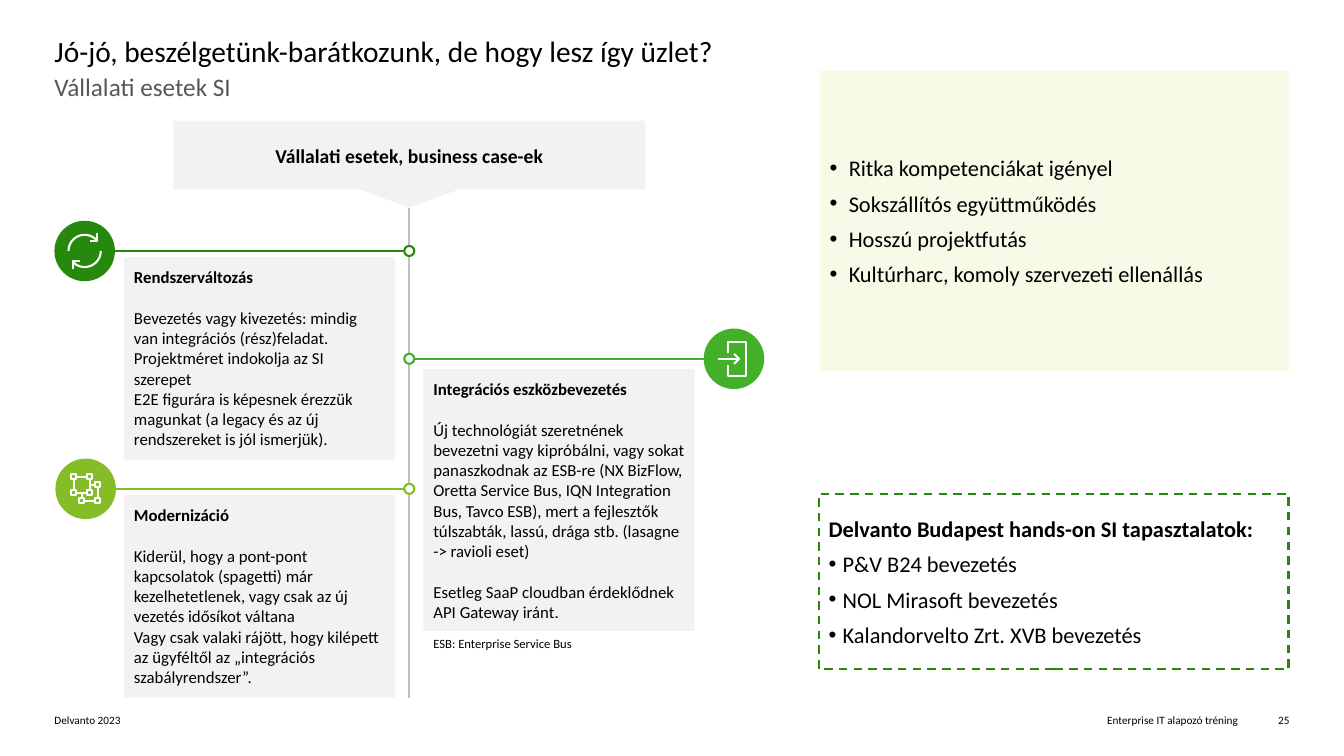
from dataclasses import dataclass
from math import cos, radians, sin

from lxml import etree
from pptx import Presentation, util as u
from pptx.dml.color import RGBColor
from pptx.enum import dml, shapes, text
from pptx.oxml import ns


@dataclass(frozen=True)
class Theme:
    font: str = "Calibri"
    black: str = "000000"
    white: str = "FFFFFF"
    subtitle_grey: str = "575757"
    axis_grey: str = "BFBFBF"
    card_grey: str = "F2F2F2"
    dark_green: str = "26890D"
    mid_green: str = "43B02A"
    light_green: str = "86BC25"
    pale_yellow: str = "E3E48D"
    title: float = 21
    subtitle: float = 18
    panel: float = 16
    header: float = 14
    card: float = 12
    note: float = 9
    footer: float = 8
    stroke: float = 1.5


T = Theme()
AXIS_X = 4.06
CARD_LINE = 14.65  # height of one line of card text, in points
LEFT, CENTER, RIGHT = text.PP_ALIGN.LEFT, text.PP_ALIGN.CENTER, text.PP_ALIGN.RIGHT
TOP, MIDDLE = text.MSO_ANCHOR.TOP, text.MSO_ANCHOR.MIDDLE


def rgb(color):
    return RGBColor.from_string(color)


# --- Text ---
def setup_frame(shape, inset, anchor=TOP):
    frame = shape.text_frame
    frame.word_wrap = True
    frame.vertical_anchor = anchor
    frame.margin_left = frame.margin_right = u.Inches(inset[0])
    frame.margin_top = frame.margin_bottom = u.Inches(inset[1])
    return frame


def write(frame, content, size, color=T.black, bold=False, align=LEFT,
          before=0, after=0, bullet_indent=0):
    first = frame.paragraphs[0]
    paragraph = frame.add_paragraph() if first.runs else first
    paragraph.alignment = align
    paragraph.space_before, paragraph.space_after = u.Pt(before), u.Pt(after)
    if bullet_indent:
        props = paragraph._p.get_or_add_pPr()
        props.set("marL", str(u.Inches(bullet_indent)))
        props.set("indent", str(-u.Inches(bullet_indent)))
        etree.SubElement(props, ns.qn("a:buFont")).set("typeface", "Arial")
        etree.SubElement(props, ns.qn("a:buChar")).set("char", "•")
    run = paragraph.add_run()
    run.text = content
    run.font.name, run.font.size, run.font.bold = T.font, u.Pt(size), bold
    run.font.color.rgb = rgb(color)
    return paragraph


def add_label(slide, box, content, size, inset=(0, 0), **style):
    label = slide.shapes.add_textbox(*map(u.Inches, box))
    write(setup_frame(label, inset), content, size, **style)


# --- Shapes and lines ---
def add_block(slide, kind, box, fill=None, line=None):
    block = slide.shapes.add_shape(kind, *map(u.Inches, box))
    paint(block, fill, line)
    return block


def paint(shape, fill=None, line=None):
    shape.shadow.inherit = False
    if fill:
        shape.fill.solid()
        shape.fill.fore_color.rgb = rgb(fill)
    else:
        shape.fill.background()
    if line:
        shape.line.color.rgb = rgb(line)
        shape.line.width = u.Pt(T.stroke)
    else:
        shape.line.fill.background()


def add_rule(slide, start, end, color):
    rule = slide.shapes.add_connector(
        shapes.MSO_CONNECTOR.STRAIGHT, *map(u.Inches, (*start, *end)))
    rule.line.color.rgb = rgb(color)
    rule.line.width = u.Pt(T.stroke)
    etree.SubElement(rule._element.spPr, ns.qn("a:effectLst"))


def add_stroke(slide, points):
    start, *rest = [(u.Inches(x), u.Inches(y)) for x, y in points]
    builder = slide.shapes.build_freeform(*start)
    builder.add_line_segments(rest, close=False)
    paint(builder.convert_to_shape(), line=T.white)


# --- Icons, drawn in white around a centre ---
def draw_cycle(slide, x, y, color):
    arc = [(0.16 * cos(radians(a)), 0.16 * sin(radians(a))) for a in range(180, 316, 9)]
    head = [(0.12, -0.18), (0.12, -0.1), (0.05, -0.1)]
    for turn in (1, -1):
        for part in (arc, head):
            add_stroke(slide, [(x + turn * dx, y + turn * dy) for dx, dy in part])


def draw_door(slide, x, y, color):
    door = [(-0.06, -0.06), (-0.06, -0.17), (0.12, -0.17),
            (0.12, 0.17), (-0.06, 0.17), (-0.06, 0.06)]
    shaft = [(-0.16, 0), (0.05, 0)]
    head = [(0, -0.05), (0.05, 0), (0, 0.05)]
    for part in (door, shaft, head):
        add_stroke(slide, [(x + dx, y + dy) for dx, dy in part])


def draw_modules(slide, x, y, color):
    near, mid, far, side = -0.12, 0.04, 0.12, 0.05
    front = [(near, near), (mid, near), (mid, mid), (near, mid)]
    back = [(mid, -0.04), (far, -0.04), (far, far), (-0.04, far), (-0.04, mid)]
    for frame in (front + front[:1], back):
        add_stroke(slide, [(x + dx, y + dy) for dx, dy in frame])
    for dx, dy in front + back[1:4]:
        add_block(slide, shapes.MSO_SHAPE.RECTANGLE,
                  (x + dx - side / 2, y + dy - side / 2, side, side), color, T.white)


# --- Parts of the slide ---
def add_case(slide, icon_x, y, color, draw_icon, card_box, heading, paragraphs):
    radius, dot = 0.3, 0.05
    side = 1 if icon_x > AXIS_X else -1
    add_rule(slide, (icon_x - side * radius, y), (AXIS_X + side * dot, y), color)
    add_block(slide, shapes.MSO_SHAPE.OVAL,
              (AXIS_X - dot, y - dot, 2 * dot, 2 * dot), T.white, color)
    add_block(slide, shapes.MSO_SHAPE.OVAL,
              (icon_x - radius, y - radius, 2 * radius, 2 * radius), color)
    draw_icon(slide, icon_x, y, color)

    card = add_block(slide, shapes.MSO_SHAPE.RECTANGLE, card_box, T.card_grey)
    frame = setup_frame(card, (0.1, 0.1))
    write(frame, heading, T.card, bold=True)
    for content, spaced in paragraphs:
        write(frame, content, T.card, before=CARD_LINE if spaced else 0)


def add_header(slide):
    width, height = 4.68, 0.86
    pointer = add_block(slide, shapes.MSO_SHAPE.PENTAGON,
                        (AXIS_X - height / 2, 1.63 - width / 2, height, width), T.card_grey)
    pointer.adjustments[0] = 1
    pointer.rotation = 90
    header = add_block(slide, shapes.MSO_SHAPE.RECTANGLE,
                       (AXIS_X - width / 2, 1.2, width, 0.68), T.card_grey)
    write(setup_frame(header, (0.07, 0.07), MIDDLE), "Vállalati esetek, business case-ek",
          T.header, bold=True, align=CENTER).line_spacing = 1.06


def add_panel(slide, box, bullets, indent, heading=None, fill=None, line=None):
    panel = add_block(slide, shapes.MSO_SHAPE.RECTANGLE, box, fill, line)
    frame = setup_frame(panel, (0.1, 0.05), MIDDLE)
    if heading:
        write(frame, heading, T.panel, bold=True, after=6)
    for bullet in bullets:
        write(frame, bullet, T.panel, after=6, bullet_indent=indent)
    return panel


def main():
    prs = Presentation()
    prs.slide_width, prs.slide_height = u.Inches(13.33), u.Inches(7.5)
    slide = prs.slides.add_slide(prs.slide_layouts[6])

    # Title and footer
    add_label(slide, (0.54, 0.33, 12.25, 0.38),
              "Jó-jó, beszélgetünk-barátkozunk, de hogy lesz így üzlet?", T.title)
    add_label(slide, (0.54, 0.71, 12.25, 0.37), "Vállalati esetek SI",
              T.subtitle, color=T.subtitle_grey)
    add_label(slide, (0.54, 7.08, 5.35, 0.13), "Delvanto 2023", T.footer)
    add_label(slide, (6.93, 7.08, 5.35, 0.13), "Enterprise IT alapozó tréning",
              T.footer, align=RIGHT)
    add_label(slide, (12.45, 7.08, 0.34, 0.13), "25", T.footer, align=RIGHT)

    # Timeline with its cases
    add_rule(slide, (AXIS_X, 6.92), (AXIS_X, 2.06), T.axis_grey)
    add_case(slide, 0.84, 2.49, T.dark_green, draw_cycle, (1.23, 2.55, 2.69, 2.01),
             "Rendszerváltozás", [
                 ("Bevezetés vagy kivezetés: mindig van integrációs (rész)feladat. "
                  "Projektméret indokolja az SI szerepet", True),
                 ("E2E figurára is képesnek érezzük magunkat (a legacy és az új "
                  "rendszereket is jól ismerjük).", False)])
    add_case(slide, 7.28, 3.56, T.mid_green, draw_door, (4.2, 3.66, 2.69, 2.6),
             "Integrációs eszközbevezetés", [
                 ("Új technológiát szeretnének bevezetni vagy kipróbálni, vagy sokat "
                  "panaszkodnak az ESB-re (NX BizFlow, Oretta Service Bus, IQN Integration "
                  "Bus, Tavco ESB), mert a fejlesztők túlszabták, lassú, drága stb. "
                  "(lasagne -> ravioli eset)", True),
                 ("Esetleg SaaP cloudban érdeklődnek API Gateway iránt.", True)])
    add_case(slide, 0.85, 4.85, T.light_green, draw_modules, (1.23, 4.91, 2.69, 2.01),
             "Modernizáció", [
                 ("Kiderül, hogy a pont-pont kapcsolatok (spagetti) már kezelhetetlenek, "
                  "vagy csak az új vezetés idősíkot váltana", True),
                 ("Vagy csak valaki rájött, hogy kilépett az ügyféltől az „integrációs "
                  "szabályrendszer”.", False)])
    add_label(slide, (4.2, 6.26, 2.21, 0.27), "ESB: Enterprise Service Bus",
              T.note, inset=(0.1, 0.05), after=6)
    add_header(slide)

    # Panels on the right
    traits = add_panel(slide, (8.13, 0.7, 4.66, 2.98), [
        "Ritka kompetenciákat igényel", "Sokszállítós együttműködés",
        "Hosszú projektfutás", "Kultúrharc, komoly szervezeti ellenállás"],
        0.19, fill=T.pale_yellow)
    tint = traits._element.spPr.find(ns.qn("a:solidFill"))[0]
    etree.SubElement(tint, ns.qn("a:alpha")).set("val", "20000")
    experience = add_panel(slide, (8.12, 4.9, 4.66, 1.74), [
        "P&V B24 bevezetés", "NOL Mirasoft bevezetés", "Kalandorvelto Zrt. XVB bevezetés"],
        0.14, heading="Delvanto Budapest hands-on SI tapasztalatok:", line=T.dark_green)
    experience.line.dash_style = dml.MSO_LINE.DASH

    prs.save("out.pptx")


if __name__ == "__main__":
    main()
